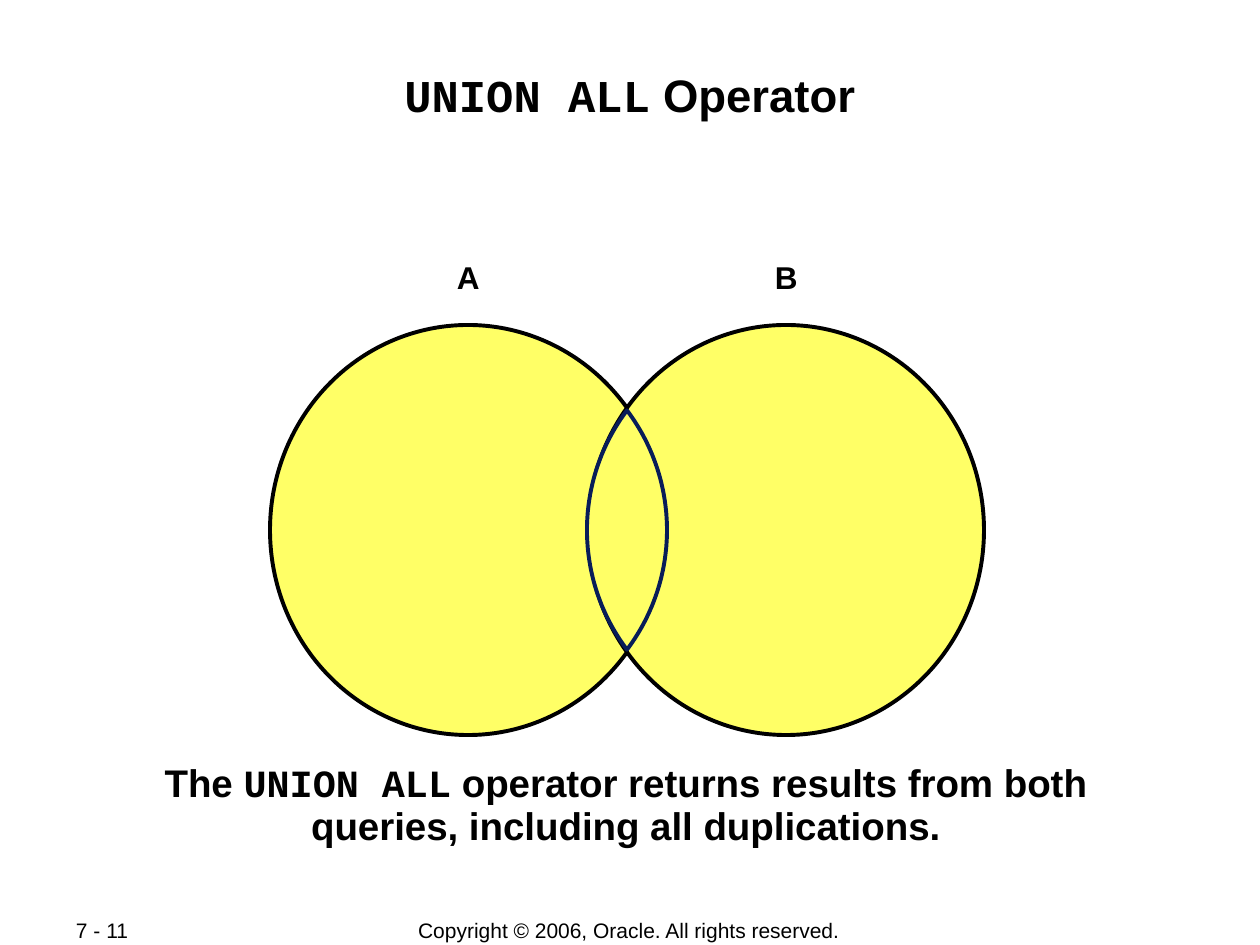
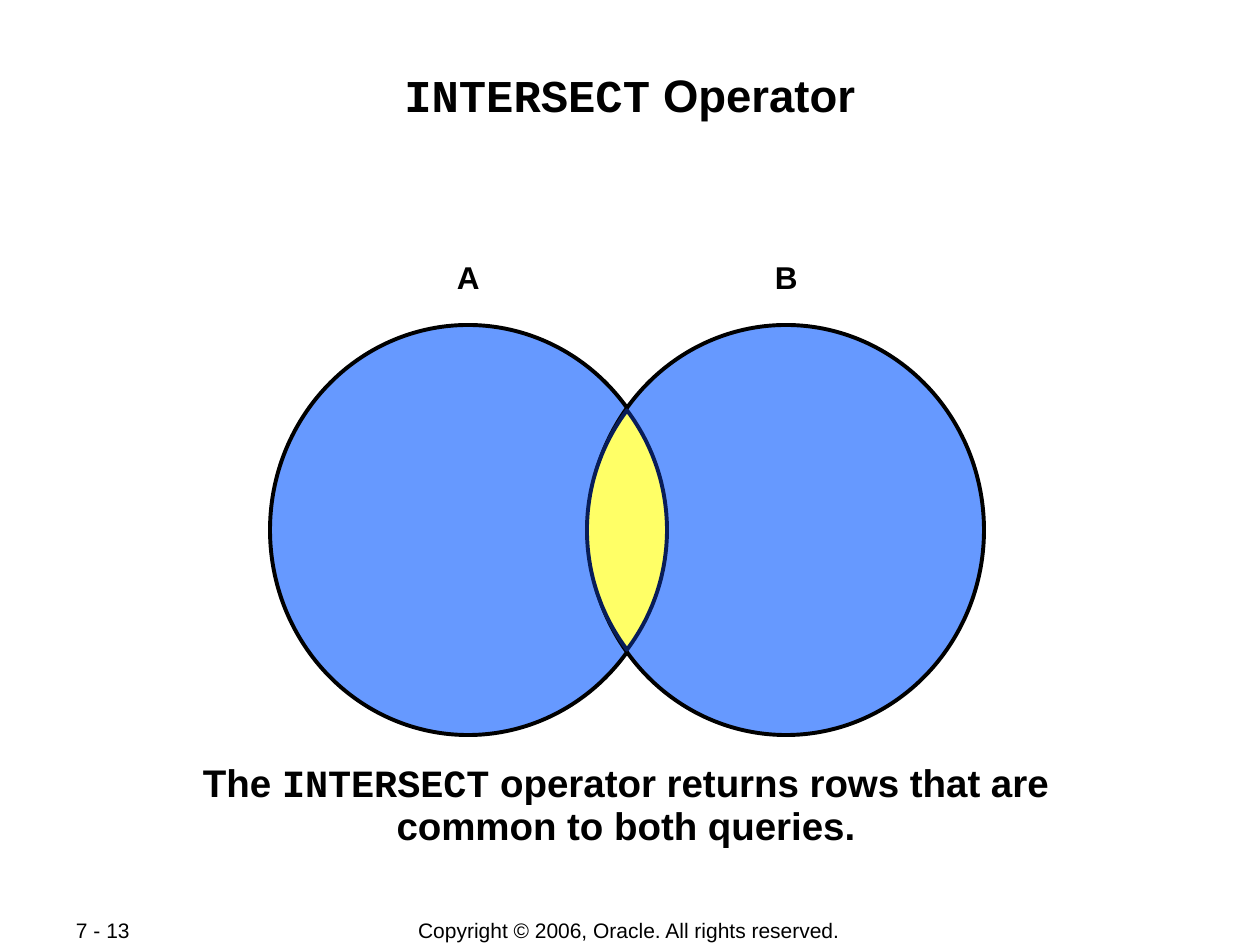
from dataclasses import dataclass
from math import acos, cos, sin

from pptx import Presentation
from pptx.dml.color import RGBColor
from pptx.enum.shapes import MSO_SHAPE
from pptx.enum.text import MSO_ANCHOR, MSO_AUTO_SIZE, PP_ALIGN
from pptx.util import Pt

ELLIPSE = MSO_SHAPE.OVAL
TOP, MIDDLE = MSO_ANCHOR.TOP, MSO_ANCHOR.MIDDLE
NO_AUTOFIT = MSO_AUTO_SIZE.NONE
CENTER, LEFT = PP_ALIGN.CENTER, PP_ALIGN.LEFT


@dataclass(frozen=True)
class Theme:
    sans: str = "Arial"
    mono: str = "Courier New"
    black: str = "000000"
    navy: str = "081D58"
    yellow: str = "FFFF66"
    blue: str = "6699FF"
    title: int = 26
    caption: int = 22
    label: int = 18
    footer: int = 12
    outline: float = 2.25


THEME = Theme()

# Each text is a list of (words, font) pieces.
SLIDES = [
    {
        "page": "7 - 11",
        "title": [("UNION ALL", THEME.mono), (" Operator", THEME.sans)],
        "caption": [
            ("The ", THEME.sans),
            ("UNION ALL", THEME.mono),
            (" operator returns results from both queries, "
             "including all duplications.", THEME.sans),
        ],
        "circles": THEME.yellow,
    },
    {
        "page": "7 - 13",
        "title": [("INTERSECT", THEME.mono), (" Operator", THEME.sans)],
        "caption": [
            ("The ", THEME.sans),
            ("INTERSECT", THEME.mono),
            (" operator returns rows that are common to both queries.",
             THEME.sans),
        ],
        "circles": THEME.blue,
    },
]
COPYRIGHT = "Copyright © 2006, Oracle. All rights reserved."

# Lengths in px, 126 to the inch
PX = 914400 / 126
SLIDE_SIZE = (1260, 945)
TITLE_BOX = (84, 60, 1092, 121)
CAPTION_BOX = (125, 756, 1002, 101)
COPYRIGHT_BOX = (346, 917, 566, 27)
PAGE_BOX = (63, 917, 134, 26)
CIRCLE_W, CIRCLE_H = 396, 410
CENTERS = {"A": 468, "B": 786}
CENTER_Y = 530
LABEL_TOP, LABEL_W, LABEL_H = 252, 48, 50
LENS_RADIUS = 199
LENS_STEPS = 60


def emu(*lengths):
    return [round(n * PX) for n in lengths]


def rgb(color):
    return RGBColor.from_string(color)


def write(sp, pieces, size, bold=True, align=CENTER, anchor=TOP,
          margins=(13, 6, 13, 6)):
    """Fill a text frame with one paragraph of (words, font) pieces."""
    tf = sp.text_frame
    tf.word_wrap = True
    tf.auto_size = NO_AUTOFIT
    tf.vertical_anchor = anchor
    (tf.margin_left, tf.margin_top,
     tf.margin_right, tf.margin_bottom) = emu(*margins)
    p = tf.paragraphs[0]
    p.alignment = align
    for words, font in pieces:
        r = p.add_run()
        r.text = words
        r.font.name = font
        r.font.size = Pt(size)
        r.font.bold = bold
        r.font.color.rgb = rgb(THEME.black)
    return p


def add_text(s, box, pieces, size, **style):
    return write(s.shapes.add_textbox(*emu(*box)), pieces, size, **style)


def paint(sp, fill, line):
    sp.shadow.inherit = False
    sp.fill.solid()
    sp.fill.fore_color.rgb = rgb(fill)
    sp.line.color.rgb = rgb(line)
    sp.line.width = Pt(THEME.outline)


def add_lens(s):
    """Outline the overlap with two mirrored arcs around the midline."""
    middle = sum(CENTERS.values()) / 2
    offset = middle - CENTERS["A"]
    half_angle = acos(offset / LENS_RADIUS)
    points = []
    for side in (1, -1):
        for i in range(LENS_STEPS):
            angle = side * half_angle * (2 * i / LENS_STEPS - 1)
            x = middle + side * (LENS_RADIUS * cos(angle) - offset)
            points.append(emu(x, CENTER_Y + LENS_RADIUS * sin(angle)))
    builder = s.shapes.build_freeform(*points[0])
    builder.add_line_segments(points[1:], close=True)
    paint(builder.convert_to_shape(), THEME.yellow, THEME.navy)


def add_venn(s, fill):
    for name, x in CENTERS.items():
        box = (x - CIRCLE_W / 2, CENTER_Y - CIRCLE_H / 2, CIRCLE_W, CIRCLE_H)
        paint(s.shapes.add_shape(ELLIPSE, *emu(*box)), fill, THEME.black)
        add_text(s, (x - LABEL_W / 2, LABEL_TOP, LABEL_W, LABEL_H),
                 [(name, THEME.sans)], THEME.label)
    add_lens(s)


def add_footer(s, page):
    for box, words, align in ((COPYRIGHT_BOX, COPYRIGHT, CENTER),
                              (PAGE_BOX, page, LEFT)):
        add_text(s, box, [(words, THEME.sans)], THEME.footer, bold=False,
                 align=align, anchor=MIDDLE)


def build_slide(prs, content):
    s = prs.slides.add_slide(prs.slide_layouts[5])
    title = s.shapes.title
    title.left, title.top, title.width, title.height = emu(*TITLE_BOX)
    write(title, content["title"], THEME.title, margins=(1, 7, 1, 1))
    add_venn(s, content["circles"])
    caption = add_text(s, CAPTION_BOX, content["caption"], THEME.caption)
    caption.line_spacing = 0.95
    add_footer(s, content["page"])


def main():
    prs = Presentation()
    prs.slide_width, prs.slide_height = emu(*SLIDE_SIZE)
    for content in SLIDES:
        build_slide(prs, content)
    prs.save("out.pptx")


if __name__ == "__main__":
    main()
